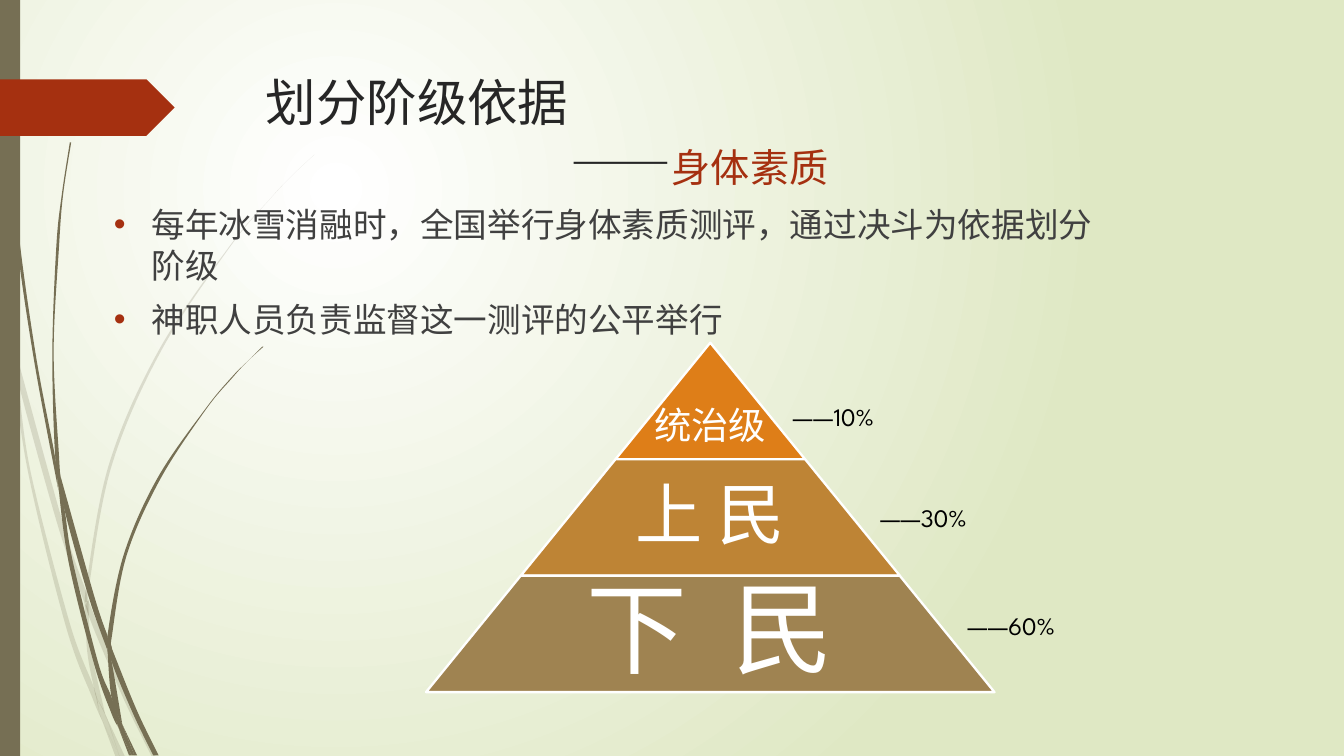
from dataclasses import dataclass

from lxml import etree
from pptx import Presentation
from pptx.dml.color import RGBColor
from pptx.enum.shapes import MSO_SHAPE
from pptx.enum.text import MSO_ANCHOR, PP_ALIGN
from pptx.oxml.ns import qn
from pptx.util import Pt

RECTANGLE = MSO_SHAPE.RECTANGLE
TRAPEZOID = MSO_SHAPE.TRAPEZOID
PENTAGON = MSO_SHAPE.PENTAGON
TOP, MIDDLE = MSO_ANCHOR.TOP, MSO_ANCHOR.MIDDLE
LEFT, CENTER = PP_ALIGN.LEFT, PP_ALIGN.CENTER

SCALE = 9144
WIDTH = 1000
HEIGHT = WIDTH * 9 / 16
FONT = "League Spartan"
COLORS = {
    "white": "FFFFFF", "meadow": "DFE8C4", "stem": "766F54", "red": "A53010",
    "title": "262626", "body": "404040", "black": "000000",
    "ruling": "DE7E18", "upper": "BE8435", "lower": "9F8351",
}
PYRAMID_LEFT, PYRAMID_TOP = 317, 255
LEVEL_STEP, LEVEL_HEIGHT = 141, 260 / 3

Point = tuple[float, float]


@dataclass
class Blade:
    left: list[Point]
    right: list[Point]


@dataclass
class Level:
    text: str
    size: int
    color: str
    inset: int
    top_inset: int
    spacing: int = 0


@dataclass
class Share:
    text: str
    left: int
    top: int
    width: int


PALE_BLADES = [
    Blade([(0, 211), (6, 241), (8, 263)], [(0, 224), (8, 258), (8, 263)]),
    Blade([(11, 259), (13, 282), (43, 391), (63, 449)], [(11, 259), (47, 390), (64, 440)]),
    Blade([(66, 447), (66, 458), (92, 520), (113, 563)],
          [(66, 447), (69, 455), (95, 519), (116, 563)]),
    Blade([(79, 533), (89, 563)], [(79, 533), (93, 563)]),
    Blade([(8, 263), (21, 352), (49, 466), (69, 520), (76, 536)],
          [(8, 263), (13, 282), (23, 352), (52, 464), (70, 512), (74, 530), (76, 536)]),
    Blade([(63, 449), (65, 485), (70, 512), (72, 519), (79, 533)],
          [(63, 449), (66, 456), (68, 484), (78, 530), (79, 533)]),
    Blade([(234, 115), (217, 131), (201, 148), (171, 183), (118, 261), (81, 346), (64, 438),
           (66, 447)],
          [(234, 115), (217, 131), (201, 148), (171, 184), (120, 261), (83, 347), (66, 438),
           (66, 447)]),
    Blade([(76, 536), (86, 563)], [(76, 536), (89, 563)]),
    Blade([(63, 449), (66, 458)], [(64, 440), (66, 447)]),
    Blade([(70, 512), (74, 530), (76, 536), (89, 563)],
          [(70, 512), (72, 519), (79, 533), (89, 563)]),
]
DARK_BLADES = [
    Blade([(2, 0), (3, 36), (5, 82), (12, 175), (25, 266), (42, 357), (43, 361)],
          [(3, 0), (3, 36), (6, 82), (14, 174), (27, 266), (41, 340), (43, 361)]),
    Blade([(45, 354), (48, 379), (66, 444), (80, 484)], [(45, 354), (70, 443), (80, 473)]),
    Blade([(83, 481), (83, 492), (99, 531), (114, 562)],
          [(83, 481), (85, 487), (102, 529), (118, 562)]),
    Blade([(43, 358), (51, 418), (70, 494), (83, 531), (88, 541)],
          [(43, 358), (48, 379), (54, 417), (73, 493), (83, 519), (87, 538), (88, 541)]),
    Blade([(52, 106), (46, 145), (42, 183), (39, 262), (41, 337), (45, 354)],
          [(53, 106), (47, 145), (44, 183), (40, 262), (44, 340), (45, 354)]),
    Blade([(91, 539), (100, 562)], [(91, 539), (102, 562)]),
    Blade([(41, 337), (43, 358), (48, 379)], [(41, 337), (45, 354), (48, 379)]),
    Blade([(195, 258), (184, 269), (173, 280), (153, 304), (117, 356), (92, 413), (80, 473),
           (83, 481)],
          [(196, 258), (184, 269), (173, 281), (153, 305), (119, 357), (94, 414), (83, 475),
           (83, 481)]),
    Blade([(88, 541), (96, 562)], [(88, 541), (98, 562)]),
    Blade([(80, 484), (83, 519), (91, 539)], [(80, 484), (83, 492), (91, 539)]),
    Blade([(80, 473), (80, 484), (83, 492)], [(80, 473), (83, 481), (83, 492)]),
    Blade([(83, 519), (87, 538), (98, 562)], [(83, 519), (87, 530), (91, 539), (100, 562)]),
]
LEVELS = [
    Level("统治级", 20, "ruling", 3, 43),
    Level("上 民", 36, "upper", 5, 5),
    Level("下 民", 54, "lower", 7, 7, 600),
]
SHARES = [
    Share("——10%", 580, 294, 102),
    Share("——30%", 645, 369, 114),
    Share("——60%", 710, 449, 127),
]
BULLETS = [
    "每年冰雪消融时，全国举行身体素质测评，通过决斗为依据划分阶级",
    "神职人员负责监督这一测评的公平举行",
]


def px(length: float) -> int:
    return round(length * SCALE)


def rgb(color: str) -> RGBColor:
    return RGBColor.from_string(COLORS[color])


def style_font(font, size: float, color: str) -> None:
    font.name, font.size = FONT, Pt(size)
    font.color.rgb = rgb(color)


def fill_shape(shape, color: str, outline: str | None = None) -> None:
    shape.shadow.inherit = False
    shape.fill.solid()
    shape.fill.fore_color.rgb = rgb(color)
    if outline:
        shape.line.color.rgb = rgb(outline)
        shape.line.width = Pt(1.25)
    else:
        shape.line.fill.background()


def add_preset(slide, kind, left: float, top: float, width: float, height: float,
               color: str, outline: str | None = None):
    shape = slide.shapes.add_shape(kind, px(left), px(top), px(width), px(height))
    fill_shape(shape, color, outline)
    return shape


def add_frame(slide, left: float, top: float, width: float, height: float, anchor=TOP):
    frame = slide.shapes.add_textbox(px(left), px(top), px(width), px(height)).text_frame
    frame.word_wrap = True
    frame.vertical_anchor = anchor
    return frame


def write(paragraph, text: str, size: float, color: str, align=LEFT):
    run = paragraph.add_run()
    run.text = text
    paragraph.alignment = align
    style_font(paragraph.font, size, color)
    return run


def curve_through(points: list[Point]) -> list[Point]:
    padded = [points[0], *points, points[-1]]
    curve = []
    for a, b, c, d in zip(padded, padded[1:], padded[2:], padded[3:]):
        curve.append((b[0] + (c[0] - a[0]) / 6, b[1] + (c[1] - a[1]) / 6))
        curve.append((c[0] - (d[0] - b[0]) / 6, c[1] - (d[1] - b[1]) / 6))
        curve.append(c)
    return curve


def add_blade(slide, blade: Blade, opacity: int) -> None:
    end, back = blade.left[-1], blade.right[::-1]
    outline = curve_through(blade.left) + [end, back[0], back[0]] + curve_through(back)
    builder = slide.shapes.build_freeform(*map(px, blade.left[0]))
    builder.add_line_segments([(px(x), px(y)) for x, y in outline], close=True)
    shape = builder.convert_to_shape()
    lines = list(shape._element.iter(qn("a:lnTo")))
    for first, second, third in zip(lines[::3], lines[1::3], lines[2::3]):
        curve = etree.Element(qn("a:cubicBezTo"))
        first.addprevious(curve)
        for line in (first, second, third):
            curve.append(line[0])
            line.getparent().remove(line)
    fill_shape(shape, "stem")
    if opacity < 100:
        color = shape.fill._xPr.find(qn("a:solidFill"))[0]
        etree.SubElement(color, qn("a:alpha"), val=str(opacity * 1000))


def paint_background(slide) -> None:
    fill = slide.background.fill
    fill.gradient()
    for stop, color in zip(fill.gradient_stops, ("white", "meadow")):
        stop.color.rgb = rgb(color)
    gradient = fill._xPr.find(qn("a:gradFill"))
    radial = etree.Element(qn("a:path"))
    radial.set("path", "circle")
    etree.SubElement(radial, qn("a:fillToRect"), l="50000", t="50000", r="100000", b="100000")
    gradient.replace(gradient.find(qn("a:lin")), radial)


def add_title(slide) -> None:
    frame = add_frame(slide, 188, 48, 731, 105)
    write(frame.paragraphs[0], "划分阶级依据", 27, "title")
    subtitle = frame.add_paragraph()
    subtitle._p.get_or_add_pPr().set("marL", str(px(227)))
    for text, size, color in (("——", 27, "title"), ("身体素质", 21, "red")):
        run = subtitle.add_run()
        run.text = text
        style_font(run.font, size, color)


def add_bullets(slide) -> None:
    frame = add_frame(slide, 75, 147, 763, 310)
    for index, text in enumerate(BULLETS):
        paragraph = frame.add_paragraph() if index else frame.paragraphs[0]
        properties = paragraph._p.get_or_add_pPr()
        properties.set("marL", str(px(28)))
        properties.set("indent", str(-px(28)))
        if index:
            paragraph.space_before = Pt(7.5)
        bullet_color = etree.SubElement(properties, qn("a:buClr"))
        etree.SubElement(bullet_color, qn("a:srgbClr"), val=COLORS["red"])
        etree.SubElement(properties, qn("a:buFont"), typeface="Arial")
        etree.SubElement(properties, qn("a:buChar"), char="•")
        write(paragraph, text, 18, "body")


def add_level(slide, index: int, level: Level) -> None:
    width = LEVEL_STEP * (index + 1)
    center = PYRAMID_LEFT + LEVEL_STEP * len(LEVELS) / 2
    top = PYRAMID_TOP + LEVEL_HEIGHT * index
    shape = add_preset(slide, TRAPEZOID, center - width / 2, top, width, LEVEL_HEIGHT,
                       level.color, "white")
    shape.adjustments[0] = LEVEL_STEP / 2 / LEVEL_HEIGHT
    text_width = max(LEVEL_STEP, width * 65 // 100)
    frame = add_frame(slide, center - text_width / 2, top, text_width, LEVEL_HEIGHT, MIDDLE)
    frame.margin_left = frame.margin_right = frame.margin_bottom = px(level.inset)
    frame.margin_top = px(level.top_inset)
    paragraph = frame.paragraphs[0]
    paragraph.line_spacing = 0.9
    run = write(paragraph, level.text, level.size, "white", CENTER)
    if level.spacing:
        run._r.get_or_add_rPr().set("spc", str(level.spacing))


def main() -> None:
    presentation = Presentation()
    presentation.slide_width, presentation.slide_height = px(WIDTH), px(HEIGHT)
    slide = presentation.slides.add_slide(presentation.slide_layouts[6])
    paint_background(slide)
    for blades, opacity in ((PALE_BLADES, 20), (DARK_BLADES, 100)):
        for blade in blades:
            add_blade(slide, blade, opacity)
    add_preset(slide, RECTANGLE, 0, 0, 15, HEIGHT, "stem")
    add_preset(slide, PENTAGON, 0, 59, 130, 42, "red")
    add_title(slide)
    add_bullets(slide)
    for index, level in enumerate(LEVELS):
        add_level(slide, index, level)
    for share in SHARES:
        frame = add_frame(slide, share.left, share.top, share.width, 33)
        write(frame.paragraphs[0], share.text, 13.5, "black")
    presentation.save("out.pptx")


if __name__ == "__main__":
    main()
